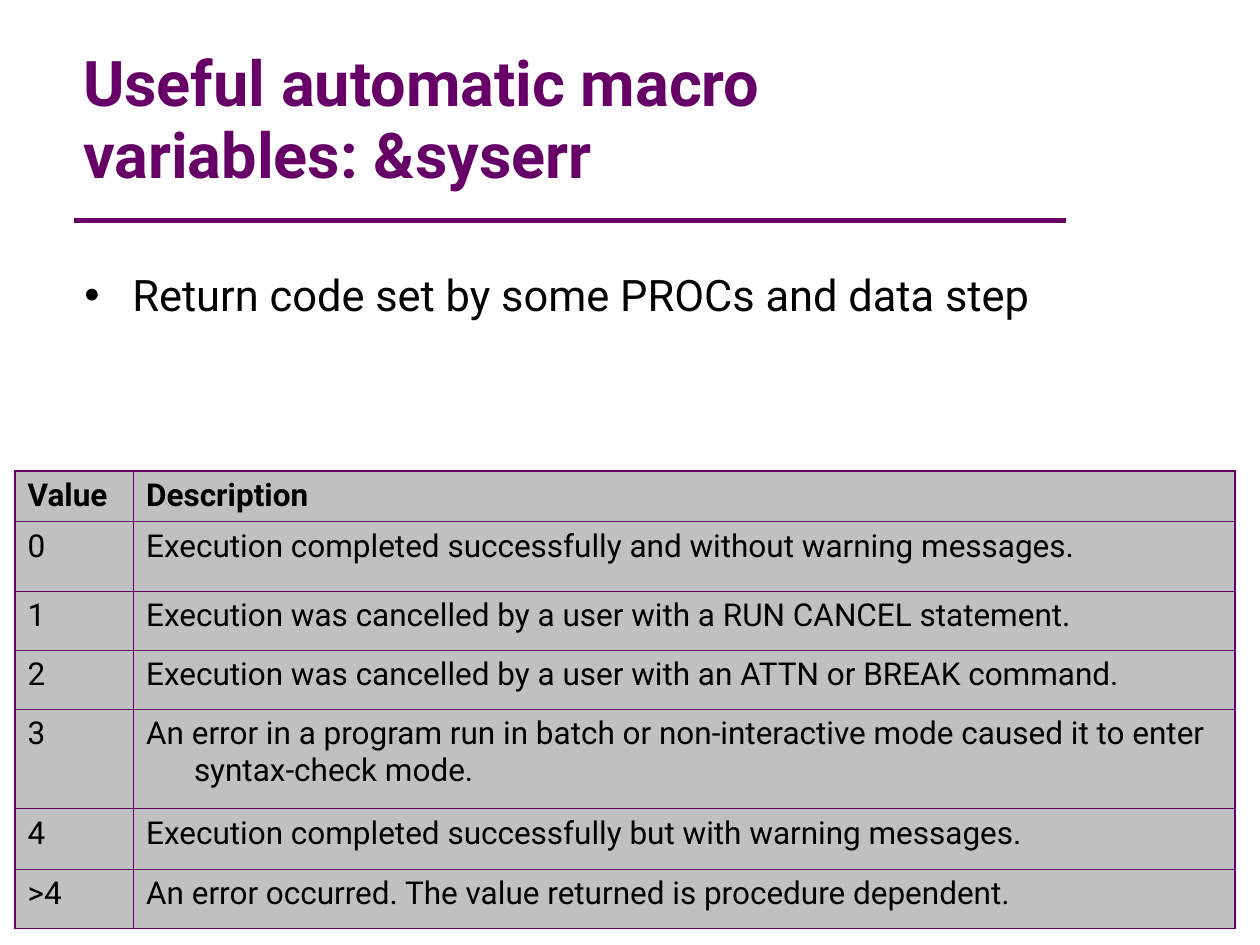
from lxml import etree
from pptx import Presentation
from pptx.dml.color import RGBColor
from pptx.enum import shapes, text
from pptx.oxml.ns import qn
from pptx.util import Inches, Pt

PURPLE = RGBColor(0x66, 0x00, 0x66)
BLACK = RGBColor(0x00, 0x00, 0x00)
GREY = RGBColor(0xC0, 0xC0, 0xC0)
FONT = "Roboto"
HANG = 0.38
THIN, THICK = 0.45, 1.08

ROWS = [
    ("Value", "Description"),
    ("0", "Execution completed successfully and without warning messages."),
    ("1", "Execution was cancelled by a user with a RUN CANCEL statement."),
    ("2", "Execution was cancelled by a user with an ATTN or BREAK command."),
    ("3", "An error in a program run in batch or non-interactive mode "
          "caused it to enter syntax-check mode."),
    ("4", "Execution completed successfully but with warning messages."),
    (">4", "An error occurred. The value returned is procedure dependent."),
]
COL_WIDTHS = (0.94, 8.74)
ROW_HEIGHTS = (0.4, 0.55, 0.47, 0.47, 0.79, 0.48, 0.47)


def write(tf, content, size, color=BLACK, bold=False, **para):
    """Fill a text frame with one formatted paragraph and return it."""
    p = tf.paragraphs[0]
    r = p.add_run()
    r.text = content
    font = dict(name=FONT, size=Pt(size), bold=bold)
    for obj, values in ((r.font, font), (p, para)):
        for name, value in values.items():
            setattr(obj, name, value)
    r.font.color.rgb = color
    return p


def hang(p):
    pPr = p._p.get_or_add_pPr()
    pPr.set("marL", str(Inches(HANG)))
    pPr.set("indent", str(-Inches(HANG)))
    return pPr


def add_solid(parent, tag, color):
    fill = etree.SubElement(parent, qn(tag))
    etree.SubElement(fill, qn("a:srgbClr"), val=str(color))


def add_bullet(p):
    pPr = hang(p)
    add_solid(pPr, "a:buClr", BLACK)
    etree.SubElement(pPr, qn("a:buChar"), char="•")


def place(sp, left, top, width, height, anchor):
    sp.left, sp.top = Inches(left), Inches(top)
    sp.width, sp.height = Inches(width), Inches(height)
    tf = sp.text_frame
    tf.word_wrap = True
    tf.auto_size = text.MSO_AUTO_SIZE.NONE
    tf.vertical_anchor = anchor
    return tf


def add_rule(s):
    line = s.shapes.add_connector(
        shapes.MSO_CONNECTOR.STRAIGHT,
        Inches(8.46), Inches(1.75), Inches(0.59), Inches(1.75))
    line.line.color.rgb = PURPLE
    line.line.width = Pt(3)
    etree.SubElement(line._element.spPr, qn("a:effectLst"))


def set_borders(cell, **widths):
    tcPr = cell._tc.get_or_add_tcPr()
    for side, width in widths.items():
        ln = etree.SubElement(tcPr, qn("a:ln" + side), w=str(Pt(width)))
        add_solid(ln, "a:solidFill", PURPLE)


def add_code_table(s):
    last_row, last_col = len(ROWS) - 1, len(COL_WIDTHS) - 1
    frame = s.shapes.add_table(
        len(ROWS), len(COL_WIDTHS), Inches(0.12), Inches(3.74),
        Inches(sum(COL_WIDTHS)), Inches(sum(ROW_HEIGHTS)))
    table = frame.table
    table.horz_banding = False
    for col, width in zip(table.columns, COL_WIDTHS):
        col.width = Inches(width)
    for i, (row, height) in enumerate(zip(table.rows, ROW_HEIGHTS)):
        row.height = Inches(height)
        for j, cell in enumerate(row.cells):
            # Thick outer frame, thin inner lines
            set_borders(cell,
                        L=THICK if j == 0 else THIN,
                        R=THICK if j == last_col else THIN,
                        T=THICK if i == 0 else THIN,
                        B=THICK if i == last_row else THIN)
            cell.fill.solid()
            cell.fill.fore_color.rgb = GREY
            hang(write(cell.text_frame, ROWS[i][j], 18, bold=i == 0,
                       space_before=Pt(4.5)))


def main():
    prs = Presentation()
    prs.slide_width, prs.slide_height = Inches(10), Inches(7.5)
    s = prs.slides.add_slide(prs.slide_layouts[1])
    add_rule(s)

    # Title
    tf = place(s.shapes.title, 0.56, 0.42, 6.45, 1.08, text.MSO_ANCHOR.MIDDLE)
    write(tf, "Useful automatic macro variables: &syserr", 36, PURPLE, True,
          alignment=text.PP_ALIGN.LEFT, line_spacing=0.95)

    # Bullet
    tf = place(s.placeholders[1], 0.57, 2.08, 8.62, 0.75, text.MSO_ANCHOR.TOP)
    add_bullet(write(tf, "Return code set by some PROCs and data step", 24.8,
                     space_before=Pt(8)))

    # Return codes
    add_code_table(s)
    prs.save("out.pptx")


if __name__ == "__main__":
    main()
